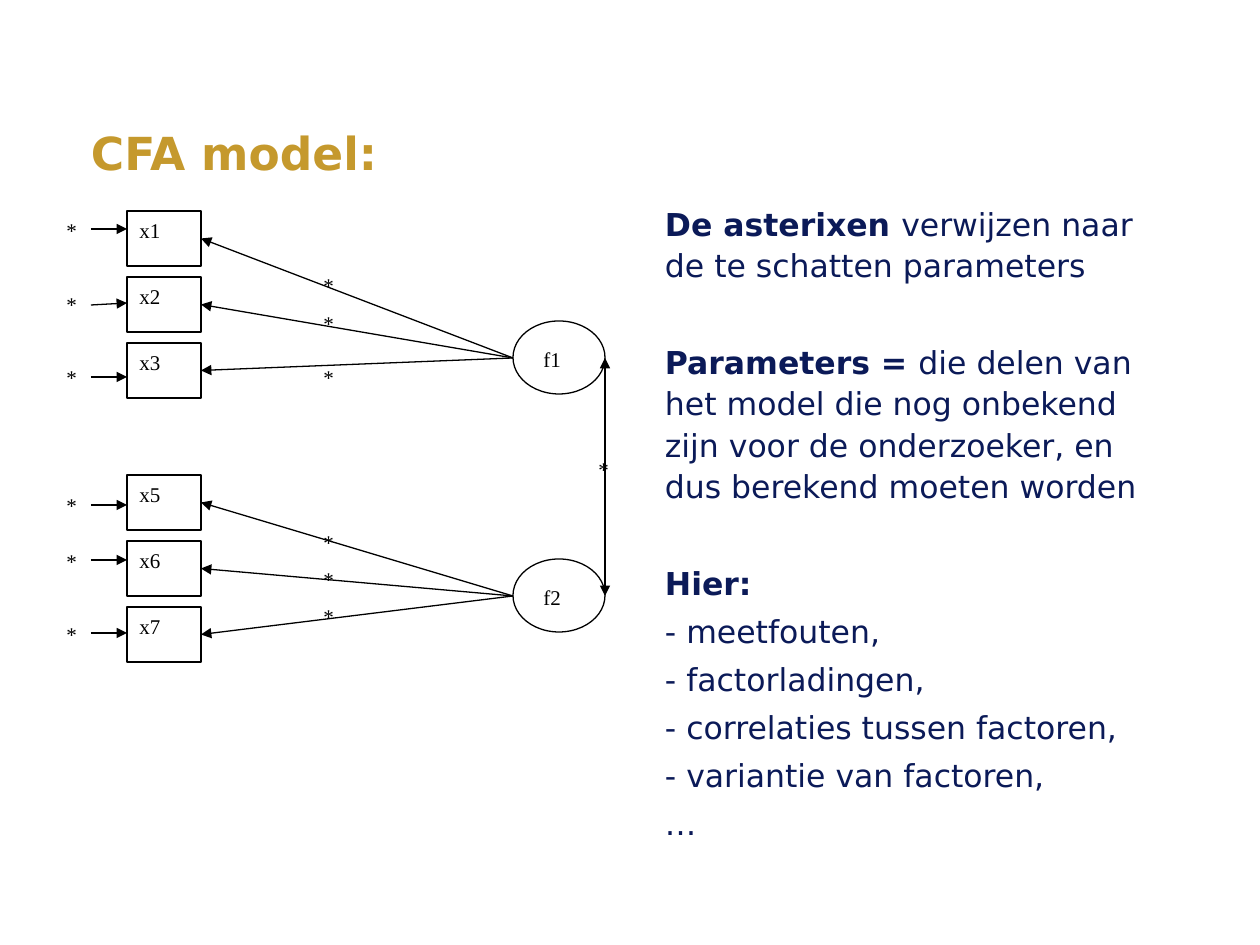
from dataclasses import dataclass

from lxml import etree
from pptx import Presentation
from pptx.dml.color import RGBColor
from pptx.enum.shapes import MSO_CONNECTOR, MSO_SHAPE
from pptx.enum.text import MSO_ANCHOR
from pptx.oxml.ns import qn
from pptx.util import Emu, Inches, Pt

RECT, OVAL = MSO_SHAPE.RECTANGLE, MSO_SHAPE.OVAL
STRAIGHT = MSO_CONNECTOR.STRAIGHT
TOP, BOTTOM = MSO_ANCHOR.TOP, MSO_ANCHOR.BOTTOM
RIGHT_SIDE = 3

PX_PER_INCH = 126
SANS, SERIF = "DejaVu Sans", "Times New Roman"
BLACK, WHITE, GOLD, NAVY = "000000", "FFFFFF", "C5992D", "0B1A58"

BOX_X, BOX_W, BOX_H = 127, 74, 55
FIRST_BOX_Y, BOX_PITCH = 211, 66
FACTOR_X, FACTOR_W, FACTOR_H = 513, 92, 73
STAR_SIZE, ERROR_STAR_X, LOADING_STAR_X = 37, 54, 311
ERROR_START_X = 91

PARAGRAPH_GAP, SECTION_GAP = 3.7, 31.2


@dataclass
class Indicator:
    name: str
    slot: int
    error_star_y: int
    error_from_y: int
    error_to_y: int
    loading_star_y: int


@dataclass
class Factor:
    name: str
    y: int
    label_y: int
    indicators: list[Indicator]

    @property
    def middle_y(self) -> int:
        return self.y + FACTOR_H // 2 + 1


FACTORS = [
    Factor("f1", 321, 340, [
        Indicator("x1", 0, 211, 229, 229, 266),
        Indicator("x2", 1, 285, 305, 303, 304),
        Indicator("x3", 2, 358, 377, 377, 358),
    ]),
    Factor("f2", 559, 578, [
        Indicator("x5", 4, 486, 505, 505, 523),
        Indicator("x6", 5, 542, 560, 560, 560),
        Indicator("x7", 6, 615, 633, 633, 597),
    ]),
]

# Each paragraph: bold part, plain part, space before in points
EXPLANATION = [
    ("De asterixen ", "verwijzen naar de te schatten parameters", PARAGRAPH_GAP),
    ("Parameters = ", "die delen van het model die nog onbekend zijn voor "
     "de onderzoeker, en dus berekend moeten worden", SECTION_GAP),
    ("Hier:", "", SECTION_GAP),
    ("", "- meetfouten,", PARAGRAPH_GAP),
    ("", "- factorladingen,", PARAGRAPH_GAP),
    ("", "- correlaties tussen factoren,", PARAGRAPH_GAP),
    ("", "- variantie van factoren,", PARAGRAPH_GAP),
    ("", "…", PARAGRAPH_GAP),
]


def px(length: int) -> Emu:
    return Emu(round(length * Inches(1) / PX_PER_INCH))


def color(value: str) -> RGBColor:
    return RGBColor.from_string(value)


def add_run(paragraph, text: str, *, size=12, font=SERIF, ink=BLACK, bold=False):
    run = paragraph.add_run()
    run.text = text
    run.font.size, run.font.name, run.font.bold = Pt(size), font, bold
    run.font.color.rgb = color(ink)


def add_frame(slide, x: int, y: int, w: int, h: int, *, anchor=TOP, left_inset=None):
    frame = slide.shapes.add_textbox(px(x), px(y), px(w), px(h)).text_frame
    frame.word_wrap = True
    frame.vertical_anchor = anchor
    if left_inset is not None:
        frame.margin_left = px(left_inset)
    return frame


def add_label(slide, text: str, x: int, y: int, w=STAR_SIZE, h=STAR_SIZE):
    add_run(add_frame(slide, x, y, w, h).paragraphs[0], text)


def add_node(slide, kind, x: int, y: int, w: int, h: int, fill: str | None = None):
    node = slide.shapes.add_shape(kind, px(x), px(y), px(w), px(h))
    node.shadow.inherit = False
    if fill:
        node.fill.solid()
        node.fill.fore_color.rgb = color(fill)
    else:
        node.fill.background()
    node.line.color.rgb = color(BLACK)
    node.line.width = Pt(0.75)
    return node


def add_arrow(slide, x1: int, y1: int, x2: int, y2: int, two_headed=False):
    arrow = slide.shapes.add_connector(STRAIGHT, px(x1), px(y1), px(x2), px(y2))
    arrow.line.color.rgb = color(BLACK)
    arrow.line.width = Pt(0.75)
    line = arrow.line._get_or_add_ln()
    for end in ("a:headEnd", "a:tailEnd") if two_headed else ("a:tailEnd",):
        etree.SubElement(line, qn(end), type="triangle")
    etree.SubElement(arrow._element.spPr, qn("a:effectLst"))
    return arrow


def add_indicator(slide, indicator: Indicator, factor: Factor):
    y = FIRST_BOX_Y + indicator.slot * BOX_PITCH
    box = add_node(slide, RECT, BOX_X, y, BOX_W, BOX_H, WHITE)
    box.text_frame.vertical_anchor = TOP
    paragraph = box.text_frame.paragraphs[0]
    paragraph.alignment = None
    add_run(paragraph, indicator.name)

    loading = add_arrow(slide, FACTOR_X, factor.middle_y,
                        BOX_X + BOX_W, y + BOX_H // 2)
    loading.end_connect(box, RIGHT_SIDE)
    add_label(slide, "*", LOADING_STAR_X, indicator.loading_star_y)

    add_arrow(slide, ERROR_START_X, indicator.error_from_y,
              BOX_X, indicator.error_to_y)
    add_label(slide, "*", ERROR_STAR_X, indicator.error_star_y)


def add_explanation(slide):
    frame = add_frame(slide, 640, 195, 532, 628, left_inset=25)
    for index, (bold_part, plain_part, gap) in enumerate(EXPLANATION):
        paragraph = frame.add_paragraph() if index else frame.paragraphs[0]
        paragraph.line_spacing = 1.1
        paragraph.space_before = Pt(gap)
        for text, bold in ((bold_part, True), (plain_part, False)):
            if text:
                add_run(paragraph, text, size=18, font=SANS, ink=NAVY, bold=bold)


def main():
    deck = Presentation()
    deck.slide_width, deck.slide_height = Inches(10), Inches(7.5)
    slide = deck.slides.add_slide(deck.slide_layouts[6])

    # Title and explanation
    title = add_frame(slide, 91, 100, 1085, 87, anchor=BOTTOM, left_inset=0)
    title.paragraphs[0].line_spacing = 0.9
    add_run(title.paragraphs[0], "CFA model:", size=26, font=SANS, ink=GOLD, bold=True)
    add_explanation(slide)

    # Factors with their indicators, loadings and measurement errors
    for factor in FACTORS:
        add_label(slide, factor.name, FACTOR_X + 18, factor.label_y, 70)
        add_node(slide, OVAL, FACTOR_X, factor.y, FACTOR_W, FACTOR_H)
        for indicator in factor.indicators:
            add_indicator(slide, indicator, factor)

    # Correlation between the factors
    first, second = FACTORS
    factor_right = FACTOR_X + FACTOR_W
    add_arrow(slide, factor_right, first.middle_y,
              factor_right, second.middle_y, two_headed=True)
    add_label(slide, "*", 586, 450)

    deck.save("out.pptx")


if __name__ == "__main__":
    main()
